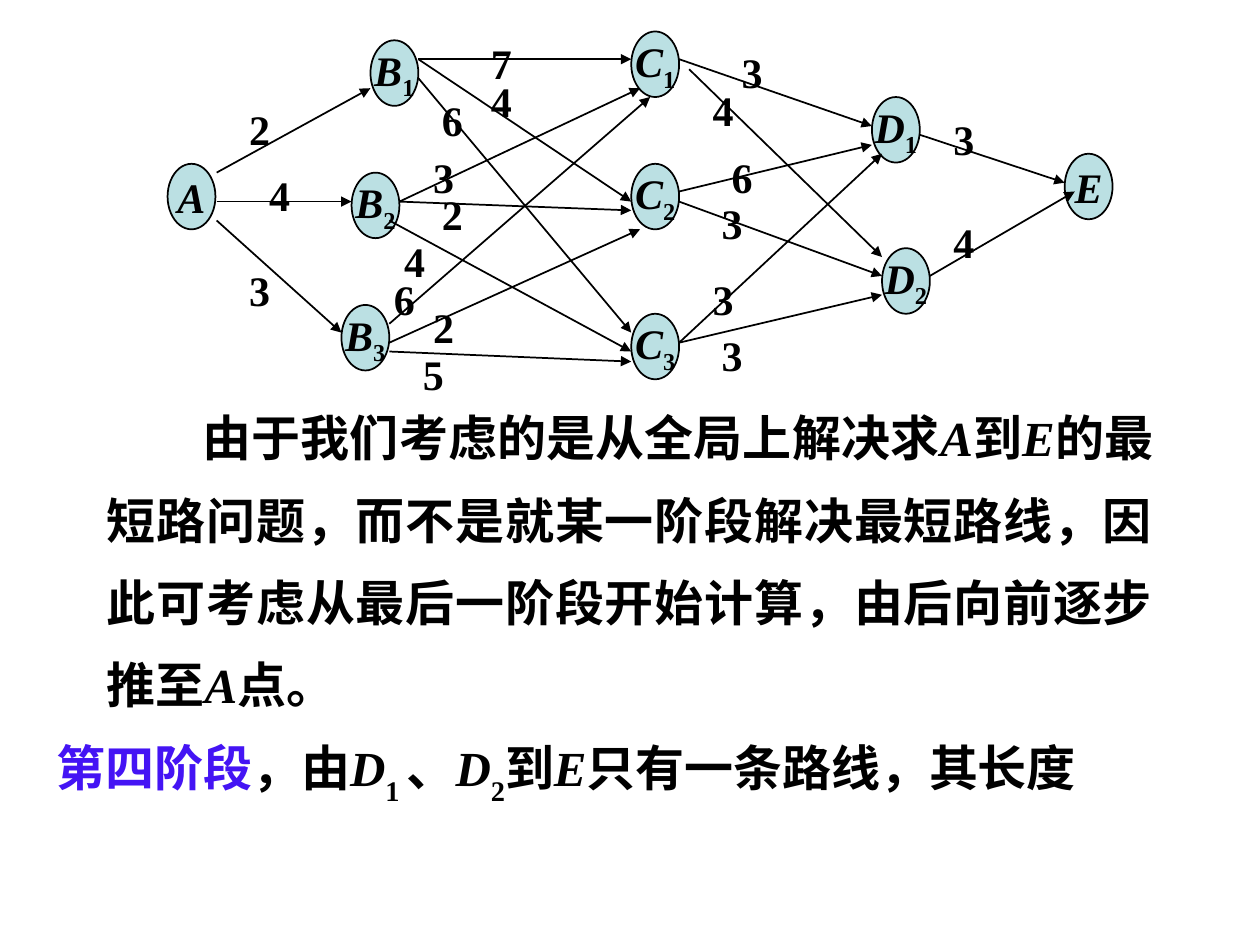
from lxml.etree import SubElement as Sub
from pptx import Presentation
from pptx.dml.color import RGBColor
from pptx.enum.shapes import MSO_CONNECTOR as Line, MSO_SHAPE as Shape
from pptx.enum.text import MSO_ANCHOR as Anchor, PP_ALIGN as Align
from pptx.oxml.ns import qn
from pptx.util import Inches, Pt

FACE, INK, BLUE, FILL = "Times New Roman", "000000", "4414F4", "BBE0E3"
NODE_W, NODE_H, TAG_W, TAG_H = 0.38, 0.52, 0.54, 0.5

NODES = [
    ("A", "", 1.33, 1.3),
    ("B", "1", 2.94, 0.32), ("B", "2", 2.79, 1.37), ("B", "3", 2.71, 2.42),
    ("C", "1", 5.01, 0.25), ("C", "2", 5.01, 1.3), ("C", "3", 5.01, 2.49),
    ("D", "1", 6.92, 0.77), ("D", "2", 7, 1.97),
    ("E", "", 8.45, 1.22),
]

# start, end, length, place of the length
ROUTES = [
    ((1.72, 1.37), (2.94, 0.7), "2", (1.79, 0.77)),
    ((1.72, 1.6), (2.79, 1.6), "4", (1.95, 1.3)),
    ((1.72, 1.75), (2.71, 2.64), "3", (1.79, 2.05)),
    ((3.32, 0.47), (5.01, 0.47), "7", (3.71, 0.25)),
    ((3.32, 0.47), (5.01, 1.6), "4", (3.71, 0.55)),
    ((3.32, 0.62), (5.01, 2.64), "6", (3.32, 0.7)),
    ((3.17, 1.6), (5.08, 0.7), "3", (3.25, 1.15)),
    ((3.17, 1.6), (5.01, 1.67), "2", (3.32, 1.45)),
    ((3.09, 1.75), (5.01, 2.79), "4", (3.02, 1.82)),
    ((3.09, 2.57), (5.16, 0.77), "6", (2.94, 2.12)),
    ((3.09, 2.72), (5.08, 1.82), "2", (3.25, 2.34)),
    ((3.09, 2.79), (5.01, 2.87), "5", (3.17, 2.72)),
    ((5.39, 0.47), (6.92, 1), "3", (5.7, 0.32)),
    ((5.47, 0.55), (7, 2.04), "4", (5.47, 0.62)),
    ((5.39, 1.52), (6.92, 1.15), "6", (5.62, 1.15)),
    ((5.39, 1.6), (7, 2.19), "3", (5.54, 1.52)),
    ((5.39, 2.72), (7, 1.22), "3", (5.47, 2.12)),
    ((5.39, 2.72), (7, 2.34), "3", (5.54, 2.57)),
    ((7.3, 1.07), (8.45, 1.45), "3", (7.38, 0.85)),
    ((7.38, 2.19), (8.53, 1.52), "4", (7.38, 1.67)),
]

# box, line spacing, first-line indent, runs of (text, style)
NOTES = [
    ((0.75, 3, 8.5, 2.72), 1.4, 0.76, [
        ("由于我们考虑的是从全局上解决求", ""), ("A", "var"), ("到", ""), ("E", "var"),
        ("的最短路问题，而不是就某一阶段解决最短路线，"
         "因此可考虑从最后一阶段开始计算，由后向前逐步推至", ""),
        ("A", "var"), ("点。", "")]),
    ((0.17, 5.67, 9.3, 1.37), 1.25, 0.18, [
        ("第四阶段", "key"), ("，由", ""), ("D", "var"), ("1 ", "sub"), ("、", ""),
        ("D", "var"), ("2", "sub"), ("到", ""), ("E", "var"),
        ("只有一条路线，其长度", "")]),
]


def color(code):
    return RGBColor.from_string(code)


def write(para, runs, size, align, drop):
    para.alignment = align
    font = para.font
    font.name, font.size, font.bold = FACE, Pt(size), True
    font.color.rgb = color(INK)
    for text, style in runs:
        run = para.add_run()
        run.text = text
        if style == "var":
            run.font.italic = True
        elif style == "key":
            run.font.color.rgb = color(BLUE)
        elif style == "sub":
            run._r.get_or_add_rPr().set("baseline", str(drop * -1000))


def add_box(box):
    frame = slide.shapes.add_textbox(*map(Inches, box)).text_frame
    frame.word_wrap = True
    return frame.paragraphs[0]


def add_node(name, sub, x, y):
    node = slide.shapes.add_shape(
        Shape.OVAL, *map(Inches, (x, y, NODE_W, NODE_H)))
    node.shadow.inherit = False
    node.fill.solid()
    node.fill.fore_color.rgb = color(FILL)
    node.line.color.rgb = color(INK)
    node.line.width = Pt(1)
    frame = node.text_frame
    frame.word_wrap = False
    frame.vertical_anchor = Anchor.MIDDLE
    runs = [(name, "var")] + ([(sub, "sub")] if sub else [])
    write(frame.paragraphs[0], runs, 24, Align.CENTER, 25)


def add_arrow(start, end):
    arrow = slide.shapes.add_connector(
        Line.STRAIGHT, *map(Inches, start + end))
    arrow.line.color.rgb = color(INK)
    arrow.line.width = Pt(1)
    Sub(arrow.line._get_or_add_ln(), qn("a:tailEnd"), type="triangle")
    Sub(arrow._element.spPr, qn("a:effectLst"))


deck = Presentation()
deck.slide_width, deck.slide_height = Inches(10), Inches(7.5)
slide = deck.slides.add_slide(deck.slide_layouts[6])

for box, space, indent, runs in NOTES:
    para = add_box(box)
    para.line_spacing = space
    para._p.get_or_add_pPr().set("indent", str(Inches(indent)))
    write(para, runs, 28, Align.JUSTIFY, 30)

for node in NODES:
    add_node(*node)
for start, end, _, _ in ROUTES:
    add_arrow(start, end)
for _, _, length, place in ROUTES:
    write(add_box(place + (TAG_W, TAG_H)), [(length, "")], 24, Align.CENTER, 0)

deck.save("out.pptx")
